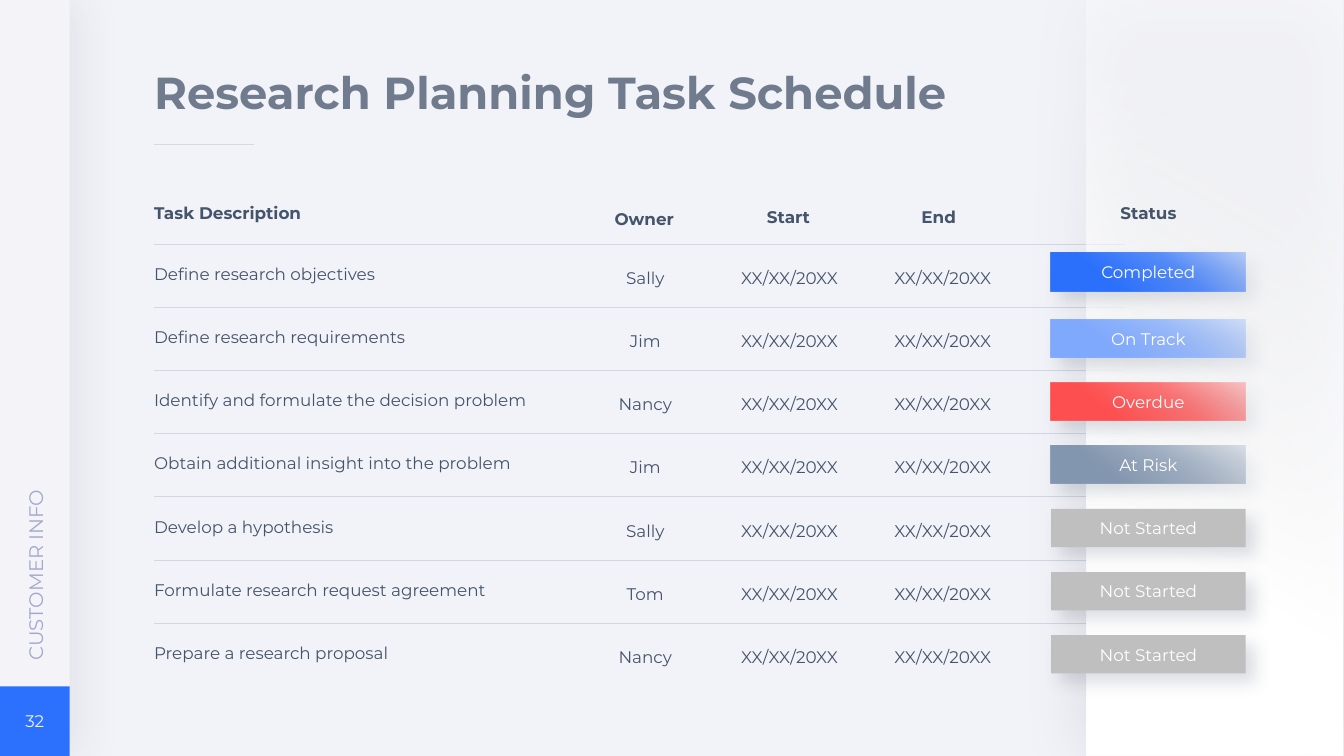
from lxml.etree import SubElement
from pptx import Presentation
from pptx.dml.color import RGBColor
from pptx.enum.shapes import MSO_CONNECTOR, MSO_SHAPE
from pptx.enum.text import MSO_ANCHOR, PP_ALIGN
from pptx.oxml.ns import qn
from pptx.util import Inches, Pt

COLORS = {
    "back": "F2F3F8", "side": "F3F3F8", "side_shadow": "2B3150", "blue": "2B71FD",
    "section": "A2A9CD", "title": "707C8D", "accent": "D9D9D9", "rule": "D2D6E7",
    "text": "44546A", "white": "FFFFFF", "black": "000000",
    "track": "80AAFE", "overdue": "FF5050", "risk": "8497B0", "idle": "BFBFBF",
}
FONT = "Montserrat"

# Grid: left edge, first rule, row pitch, column centres
LEFT, FIRST_RULE, PITCH = 1.53, 2.42, 0.627
COL_W = 1.78
OWNER, START, END, STATUS = 6.4, 7.83, 9.35, 11.39
SIDE_W, PANEL_X, PILL_W, PILL_H = 0.69, 10.78, 1.93, 0.38

DATE = "XX/XX/20XX"
# Header: text, centre, top
HEADERS = [("Owner", 6.39, 2.02), ("Start", 7.82, 2), ("End", 9.31, 2),
           ("Status", STATUS, 1.96)]
TASKS = [
    ("Define research objectives", "Sally", "Completed"),
    ("Define research requirements", "Jim", "On Track"),
    ("Identify and formulate the decision problem", "Nancy", "Overdue"),
    ("Obtain additional insight into the problem", "Jim", "At Risk"),
    ("Develop a hypothesis", "Sally", "Not Started"),
    ("Formulate research request agreement", "Tom", "Not Started"),
    ("Prepare a research proposal", "Nancy", "Not Started"),
]
# Status: colour and gradient stops (position, opacity); no stops means solid
STATUS_FILLS = {
    "Completed": ("blue", [(0, 30), (36, 76), (72, 100)]),
    "On Track": ("track", [(0, 30), (36, 75), (72, 100)]),
    "Overdue": ("overdue", [(0, 30), (36, 75), (72, 100)]),
    "At Risk": ("risk", [(0, 25), (36, 70), (72, 100)]),
    "Not Started": ("idle", None),
}


def rgb(name):
    return RGBColor.from_string(COLORS[name])


def add_color(parent, name, opacity):
    color = SubElement(parent, qn("a:srgbClr"), val=COLORS[name])
    if opacity < 100:
        SubElement(color, qn("a:alpha"), val=str(opacity * 1000))


def set_gradient(sp, name, stops, angle):
    sp.fill.gradient()
    grad = sp._element.spPr.find(qn("a:gradFill"))
    for child in list(grad):
        grad.remove(child)
    stop_list = SubElement(grad, qn("a:gsLst"))
    for pos, opacity in stops:
        stop = SubElement(stop_list, qn("a:gs"), pos=str(pos * 1000))
        add_color(stop, name, opacity)
    SubElement(grad, qn("a:lin"), ang=str(angle * 60000), scaled="0")


def set_shadow(sp, name, opacity, blur, distance, angle):
    effects = sp._element.spPr.find(qn("a:effectLst"))
    outer = SubElement(effects, qn("a:outerShdw"), blurRad=str(Pt(blur)),
                       dist=str(Pt(distance)), dir=str(angle * 60000),
                       algn="ctr", rotWithShape="0")
    add_color(outer, name, opacity)


def add_block(s, x, y, w, h, fill, kind=MSO_SHAPE.RECTANGLE, stops=None, angle=0):
    sp = s.shapes.add_shape(kind, Inches(x), Inches(y), Inches(w), Inches(h))
    sp.line.fill.background()
    if stops:
        set_gradient(sp, fill, stops, angle)
    else:
        sp.fill.solid()
        sp.fill.fore_color.rgb = rgb(fill)
    sp.shadow.inherit = False
    return sp


def write(sp, text, color="text", size=12, bold=False, align=PP_ALIGN.LEFT,
          spacing=None, anchor=MSO_ANCHOR.MIDDLE, insets=(0.1, 0, 0.1, 0)):
    tf = sp.text_frame
    tf.word_wrap = True
    tf.vertical_anchor = anchor
    tf.margin_left, tf.margin_top, tf.margin_right, tf.margin_bottom = map(Inches, insets)
    p = tf.paragraphs[0]
    p.text = text
    p.alignment = align
    if spacing:
        p.line_spacing = spacing
    p.font.name, p.font.size, p.font.bold = FONT, Pt(size), bold
    p.font.color.rgb = rgb(color)


def add_text(s, x, y, w, h, text, **style):
    tb = s.shapes.add_textbox(Inches(x), Inches(y), Inches(w), Inches(h))
    write(tb, text, **style)
    return tb


def add_header(s, x, y, w, text, align=PP_ALIGN.CENTER):
    add_text(s, x, y, w, 0.3, text, bold=True, align=align,
             anchor=MSO_ANCHOR.TOP, insets=(0.1, 0.05, 0.1, 0.05))


def add_cell(s, x, y, w, text, align=PP_ALIGN.CENTER):
    add_text(s, x, y, w, 0.25, text, align=align, spacing=Pt(15),
             insets=(0.1, 0, 0.1, 0.05))


def add_rule(s, x1, x2, y, color):
    line = s.shapes.add_connector(MSO_CONNECTOR.STRAIGHT, Inches(x1), Inches(y),
                                  Inches(x2), Inches(y))
    line.line.color.rgb = rgb(color)
    line.line.width = Pt(0.5)
    SubElement(line._element.spPr, qn("a:effectLst"))


def add_sidebar(s):
    side = add_block(s, 0, 0, SIDE_W, 7.5, "side", MSO_SHAPE.ROUND_2_SAME_RECTANGLE)
    side.adjustments[0] = 0
    side.rotation = 180
    set_shadow(side, "side_shadow", 7, 30, 7, 0)
    add_block(s, 0, 7.5 - SIDE_W, SIDE_W, SIDE_W, "blue")
    add_text(s, 0.1, 6.99, 0.49, 0.33, "32", color="back",
             align=PP_ALIGN.CENTER, insets=(0, 0, 0, 0))
    section = add_text(s, -1.55, 4.45, 3.8, 0.41, "CUSTOMER INFO", color="section",
                       size=14, insets=(0, 0.05, 0, 0.05))
    section.rotation = 270


def add_title(s):
    add_text(s, LEFT, 0.65, 8.14, 0.76, "Research Planning Task Schedule",
             color="title", size=32, bold=True, spacing=0.9,
             anchor=MSO_ANCHOR.TOP, insets=(0, 0.05, 0, 0.05))
    add_rule(s, LEFT, 2.52, 1.43, "accent")


def add_pill(s, y, status):
    color, stops = STATUS_FILLS[status]
    pill = add_block(s, STATUS - PILL_W / 2, y, PILL_W, PILL_H, color,
                     stops=stops, angle=130)
    set_shadow(pill, "text", 18, 12, 9, 45)
    write(pill, status, color="white", align=PP_ALIGN.CENTER)


def add_schedule(s):
    # Rules run under the status panel
    for i in range(len(TASKS)):
        add_rule(s, LEFT, 11.16, FIRST_RULE + i * PITCH, "rule")
    panel = add_block(s, PANEL_X, 0, 2.54, 7.5, "white",
                      stops=[(23, 34), (72, 100)], angle=120)
    set_shadow(panel, "black", 10, 50, 0, 0)

    # Headers
    add_header(s, LEFT - 0.1, 1.96, 4.06, "Task Description", PP_ALIGN.LEFT)
    for text, center, top in HEADERS:
        add_header(s, center - COL_W / 2, top, COL_W, text)

    # Task rows
    for i, (task, owner, status) in enumerate(TASKS):
        y = FIRST_RULE + i * PITCH
        add_cell(s, LEFT - 0.1, y + 0.19, 4.06, task, PP_ALIGN.LEFT)
        for center, text in ((OWNER, owner), (START, DATE), (END, DATE)):
            add_cell(s, center - COL_W / 2, y + 0.23, COL_W, text)
        add_pill(s, y + (0.12 if i else 0.09), status)


def main():
    prs = Presentation()
    prs.slide_width, prs.slide_height = Inches(13.33), Inches(7.5)
    s = prs.slides.add_slide(prs.slide_layouts[6])
    s.background.fill.solid()
    s.background.fill.fore_color.rgb = rgb("back")
    add_sidebar(s)
    add_title(s)
    add_schedule(s)
    prs.save("out.pptx")


if __name__ == "__main__":
    main()
